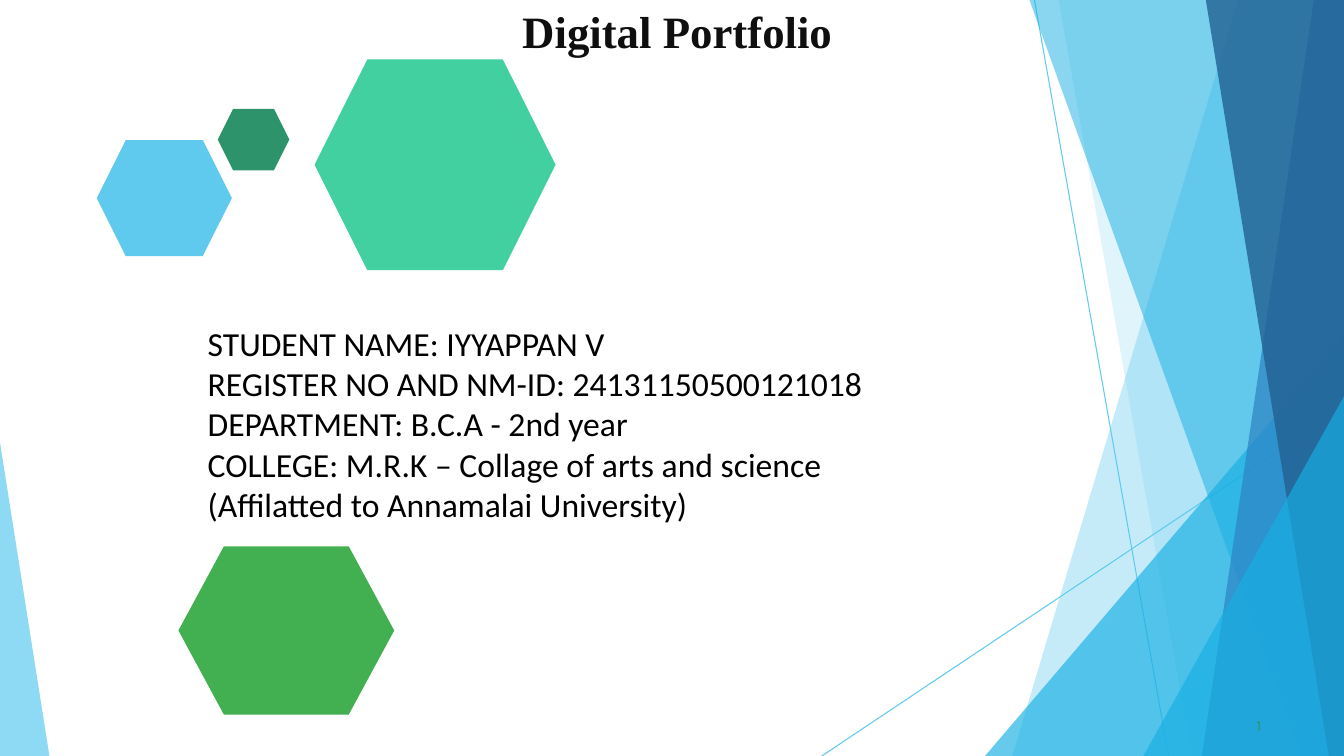
from lxml import etree
from pptx import Presentation
from pptx.dml.color import RGBColor
from pptx.enum.shapes import MSO_CONNECTOR, MSO_SHAPE
from pptx.oxml.ns import qn
from pptx.util import Inches, Pt

STRAIGHT = MSO_CONNECTOR.STRAIGHT
HEXAGON = MSO_SHAPE.HEXAGON

COLORS = {
    "sky": "5FCAEE",
    "cyan": "17AFE3",
    "blue": "2D83C3",
    "navy": "226192",
    "teal": "2D936B",
    "mint": "42D0A1",
    "green": "42AF51",
    "ink": "0F0F0F",
    "black": "000000",
}
WIDTH, HEIGHT = 13.33, 7.5

# Right-hand facets: top of left edge (x, y), foot of left edge x, color, opacity %
FACETS = [
    (12.28, 0, 10.04, "sky", 36),
    (10.5, 0, 11.82, "sky", 20),
    (WIDTH, 3.33, 9.77, "cyan", 66),
    (10.21, 0, 12.91, "cyan", 50),
    (13.03, 0, 11.92, "blue", 70),
    (11.96, 0, 13.18, "navy", 80),
    (WIDTH, 3.93, 11.34, "cyan", 66),
]
# Hexagons: left, top, width, height, corner inset ratio, color
HEXAGONS = [
    (0.96, 1.39, 1.34, 1.15, 0.25, "sky"),
    (2.16, 1.08, 0.71, 0.61, 0.25, "teal"),
    (3.12, 0.59, 2.39, 2.09, 0.25, "mint"),
    (1.77, 5.42, 2.14, 1.67, 0.27, "green"),
]
STUDENT_DETAILS = [
    "STUDENT NAME: IYYAPPAN V",
    "REGISTER NO AND NM-ID: 24131150500121018",
    "DEPARTMENT: B.C.A - 2nd year",
    "COLLEGE: M.R.K – Collage of arts and science",
    "(Affilatted to Annamalai University)",
]


def rgb(name):
    return RGBColor.from_string(COLORS[name])


def fill_flat(shape, color, opacity=100):
    shape.shadow.inherit = False
    shape.fill.solid()
    shape.fill.fore_color.rgb = rgb(color)
    shape.line.fill.background()
    if opacity < 100:
        fill_color = next(shape.element.spPr.iter(qn("a:srgbClr")))
        etree.SubElement(fill_color, qn("a:alpha")).set("val", str(opacity * 1000))


def add_polygon(slide, points, color, opacity):
    corners = [(Inches(x), Inches(y)) for x, y in points]
    builder = slide.shapes.build_freeform(*corners[0])
    builder.add_line_segments(corners[1:], close=True)
    fill_flat(builder.convert_to_shape(), color, opacity)


def add_thin_line(slide, x1, y1, x2, y2):
    line = slide.shapes.add_connector(
        STRAIGHT, Inches(x1), Inches(y1), Inches(x2), Inches(y2))
    line.line.color.rgb = rgb("sky")
    line.line.width = Pt(0.75)
    etree.SubElement(line.element.spPr, qn("a:effectLst"))


def add_backdrop(slide, width, height):
    """Draw the thin lines, the right-hand facets and the left-hand wedge."""
    add_thin_line(slide, 10.26, 0, 11.59, height)
    add_thin_line(slide, width, 4.04, 8.15, height)
    for x, top, foot, color, opacity in FACETS:
        points = [(x, top), (foot, height), (width, height)]
        if x < width:
            points.append((width, top))
        add_polygon(slide, points, color, opacity)
    add_polygon(slide, [(0, 4.39), (0, height), (0.49, height)], "sky", 70)


def add_hexagons(slide):
    for left, top, width, height, inset, color in HEXAGONS:
        hexagon = slide.shapes.add_shape(
            HEXAGON, Inches(left), Inches(top), Inches(width), Inches(height))
        hexagon.adjustments[0] = inset
        fill_flat(hexagon, color)


def add_text(slide, box, lines, font, size, color, bold=False):
    """Place lines of text in a box without margins."""
    frame = slide.shapes.add_textbox(*map(Inches, box)).text_frame
    frame.word_wrap = True
    frame.margin_left = frame.margin_right = 0
    frame.margin_top = frame.margin_bottom = 0
    frame.text = "\n".join(lines)
    for paragraph in frame.paragraphs:
        for run in paragraph.runs:
            run.font.name = font
            run.font.size = Pt(size)
            run.font.bold = bold
            run.font.color.rgb = rgb(color)


def build_cover(prs):
    slide = prs.slides.add_slide(prs.slide_layouts[6])
    add_backdrop(slide, WIDTH, HEIGHT)
    add_hexagons(slide)
    add_text(slide, (5.18, 0.04, 5.26, 0.55), ["Digital Portfolio"],
             "Times New Roman", 32, "ink", bold=True)
    add_text(slide, (12.46, 7.1, 0.12, 0.19), ["1"], "Karla", 11, "teal")
    add_text(slide, (2.06, 3.2, 7.88, 2.05), STUDENT_DETAILS,
             "Calibri", 24, "black")


def main():
    prs = Presentation()
    prs.slide_width = Inches(WIDTH)
    prs.slide_height = Inches(HEIGHT)
    build_cover(prs)
    prs.save("out.pptx")


if __name__ == "__main__":
    main()
